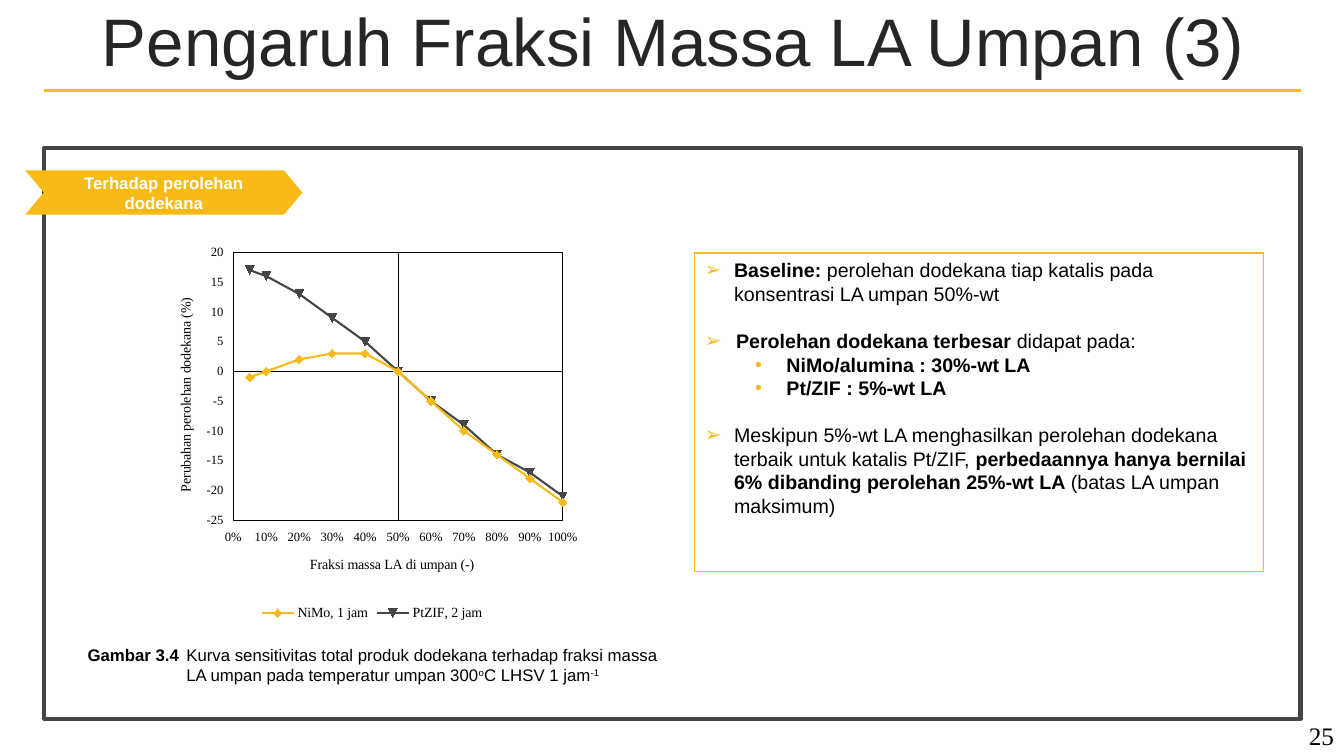
"""Build the slide on how the LA feed mass fraction affects dodecane yield."""
from dataclasses import dataclass

from lxml import etree
from pptx import Presentation
from pptx.chart.axis import _BaseAxis
from pptx.chart.data import XyChartData
from pptx.dml.color import RGBColor
from pptx.enum.chart import XL_CHART_TYPE, XL_LEGEND_POSITION, XL_TICK_LABEL_POSITION, XL_TICK_MARK
from pptx.enum.shapes import MSO_CONNECTOR, MSO_SHAPE
from pptx.enum.text import MSO_ANCHOR, MSO_AUTO_SIZE, PP_ALIGN
from pptx.oxml import parse_xml
from pptx.oxml.ns import nsdecls, qn
from pptx.shapes.autoshape import Shape
from pptx.slide import Slide
from pptx.text.text import Font, TextFrame
from pptx.util import Inches, Pt

SCATTER = XL_CHART_TYPE.XY_SCATTER_LINES
LEGEND_BOTTOM = XL_LEGEND_POSITION.BOTTOM
LABELS_LOW = XL_TICK_LABEL_POSITION.LOW
NO_TICK = XL_TICK_MARK.NONE
CENTER, LEFT, RIGHT = PP_ALIGN.CENTER, PP_ALIGN.LEFT, PP_ALIGN.RIGHT
TOP, MIDDLE = MSO_ANCHOR.TOP, MSO_ANCHOR.MIDDLE


@dataclass(frozen=True)
class Theme:
    gold: str = "F8BA16"
    gray: str = "454545"
    title_color: str = "262626"
    black: str = "000000"
    white: str = "FFFFFF"
    sans: str = "Arial"
    serif: str = "Times New Roman"
    title_size: float = 48
    number_size: float = 18
    body_size: float = 14
    caption_size: float = 12
    chart_size: float = 10
    axis_size: float = 9


@dataclass(frozen=True)
class Box:
    left: float
    top: float
    width: float
    height: float

    def lengths(self) -> tuple[int, int, int, int]:
        return Inches(self.left), Inches(self.top), Inches(self.width), Inches(self.height)


@dataclass(frozen=True)
class TextRun:
    text: str
    bold: bool = False
    raised: bool = False


@dataclass(frozen=True)
class Line:
    runs: tuple[TextRun, ...]
    margin: float = 0
    hanging: float = 0
    bullet: str = ""
    level: int = 0
    space_before: float = 0


@dataclass(frozen=True)
class Curve:
    name: str
    values: tuple[int, ...]
    color: str
    order: int


THEME = Theme()
FRACTIONS = (0.05, *(step / 10 for step in range(1, 11)))
CURVES = (
    Curve("NiMo, 1 jam", (-1, 0, 2, 3, 3, 0, -5, -10, -14, -18, -22), THEME.gold, 1),
    Curve("PtZIF, 2 jam", (17, 16, 13, 9, 5, 0, -5, -9, -14, -17, -21), THEME.gray, 2),
)
GAP = 17
FINDINGS = (
    Line((TextRun("Baseline: ", True),
          TextRun("perolehan dodekana tiap katalis pada konsentrasi LA umpan 50%-wt")),
         0.29, 0.29, "➢"),
    Line((TextRun("Perolehan dodekana terbesar ", True), TextRun("didapat pada:")),
         0.31, 0.31, "➢", space_before=GAP),
    Line((TextRun("NiMo/alumina : 30%-wt LA", True),), 0.81, 0.31, "•", 1),
    Line((TextRun("Pt/ZIF : 5%-wt LA", True),), 0.81, 0.31, "•", 1),
    Line((TextRun("Meskipun 5%-wt LA menghasilkan perolehan dodekana terbaik untuk katalis Pt/ZIF, "),
          TextRun("perbedaannya hanya bernilai 6% dibanding perolehan 25%-wt LA ", True),
          TextRun("(batas LA umpan maksimum)")), 0.29, 0.29, "➢", space_before=GAP),
)
CAPTION = Line((
    TextRun("Gambar 3.4\t", True),
    TextRun("Kurva sensitivitas total produk dodekana terhadap fraksi massa LA umpan "
            "pada temperatur umpan 300"),
    TextRun("o", raised=True), TextRun("C LHSV 1 jam"), TextRun("-1", raised=True),
), 0.98, 0.98)


def rgb(color: str) -> RGBColor:
    return RGBColor.from_string(color)


def style_font(font: Font, size: float, color: str, name: str, bold: bool = False) -> None:
    font.size, font.name, font.bold = Pt(size), name, bold
    font.color.rgb = rgb(color)


def write_lines(frame: TextFrame, lines: tuple[Line, ...], size: float, color: str = THEME.black,
                name: str = THEME.sans, align: PP_ALIGN = LEFT, anchor: MSO_ANCHOR = TOP,
                spacing: float = 1.0) -> None:
    frame.word_wrap = True
    frame.auto_size = MSO_AUTO_SIZE.NONE
    frame.vertical_anchor = anchor
    for index, line in enumerate(lines):
        paragraph = frame.add_paragraph() if index else frame.paragraphs[0]
        paragraph.alignment, paragraph.level = align, line.level
        paragraph.line_spacing = spacing
        paragraph.space_before, paragraph.space_after = Pt(line.space_before), Pt(0)
        properties = paragraph._p.get_or_add_pPr()
        properties.set("marL", str(Inches(line.margin)))
        properties.set("indent", str(-Inches(line.hanging)))
        if line.bullet:
            bullet_color = etree.SubElement(properties, qn("a:buClr"))
            etree.SubElement(bullet_color, qn("a:srgbClr"), val=THEME.gold)
            etree.SubElement(properties, qn("a:buFont"), typeface=THEME.sans)
            etree.SubElement(properties, qn("a:buChar"), char=line.bullet)
        for part in line.runs:
            run = paragraph.add_run()
            run.text = part.text
            style_font(run.font, size, color, name, part.bold)
            if part.raised:
                run._r.get_or_add_rPr().set("baseline", "30000")


def place(shape: Shape, box: Box) -> None:
    shape.left, shape.top, shape.width, shape.height = box.lengths()


def add_text(slide: Slide, box: Box, line: Line, size: float, name: str = THEME.sans,
             align: PP_ALIGN = LEFT) -> None:
    frame = slide.shapes.add_textbox(*box.lengths()).text_frame
    write_lines(frame, (line,), size, name=name, align=align)


def style_axis(axis: _BaseAxis, title: str, limits: tuple[float, float], step: float,
               crossing: float, number_format: str) -> None:
    axis.minimum_scale, axis.maximum_scale = limits
    axis.major_unit, axis.crosses_at = step, crossing
    axis.has_major_gridlines = axis.has_minor_gridlines = False
    axis.major_tick_mark = axis.minor_tick_mark = NO_TICK
    axis.tick_label_position = LABELS_LOW
    axis.tick_labels.number_format = number_format
    axis.tick_labels.number_format_is_linked = False
    style_font(axis.tick_labels.font, THEME.axis_size, THEME.black, THEME.serif)
    axis.format.line.color.rgb, axis.format.line.width = rgb(THEME.black), Pt(0.75)
    run = axis.axis_title.text_frame.paragraphs[0].add_run()
    run.text = title
    style_font(run.font, THEME.chart_size, THEME.black, THEME.serif)


def add_yield_chart(slide: Slide, box: Box) -> None:
    data = XyChartData()
    for curve in CURVES:
        points = data.add_series(curve.name)
        for fraction, value in zip(FRACTIONS, curve.values):
            points.add_data_point(fraction, value)
    chart = slide.shapes.add_chart(SCATTER, *box.lengths(), data).chart
    chart.has_title = False
    style_font(chart.font, THEME.chart_size, THEME.black, THEME.serif)
    chart.has_legend = True
    chart.legend.position, chart.legend.include_in_layout = LEGEND_BOTTOM, False
    style_font(chart.legend.font, THEME.chart_size, THEME.black, THEME.serif)
    style_axis(chart.category_axis, "Fraksi massa LA di umpan (-)", (0, 1), 0.1, 0.5, "0%")
    style_axis(chart.value_axis, "Perubahan perolehan dodekana (%)", (-25, 20), 5, 0, "#,##0")
    chart.value_axis.axis_title.text_frame._txBody.bodyPr.set("rot", "-5400000")
    chart.plots[0].vary_by_categories = False
    for series, curve in zip(chart.plots[0].series, CURVES):
        series._element.find(qn("c:idx")).set("val", str(curve.order))
        series.smooth = False
        series.format.line.color.rgb, series.format.line.width = rgb(curve.color), Pt(1.5)
        series.marker.size = 6
        series.marker.format.fill.solid()
        series.marker.format.fill.fore_color.rgb = rgb(curve.color)
        series.marker.format.line.color.rgb = rgb(curve.color)
    plot_area = chart._chartSpace.chart.plotArea
    for layout in plot_area.findall(qn("c:layout")):
        plot_area.remove(layout)
    sizes = "".join(f'<c:{key} val="{value}"/>' for key, value in
                    (("x", 0.18), ("y", 0.04), ("w", 0.76), ("h", 0.69)))
    plot_area.insert(0, parse_xml(
        f'<c:layout {nsdecls("c")}><c:manualLayout><c:layoutTarget val="inner"/>'
        f'<c:xMode val="edge"/><c:yMode val="edge"/>{sizes}</c:manualLayout></c:layout>'))
    plot_area.append(parse_xml(
        f'<c:spPr {nsdecls("c", "a")}><a:noFill/><a:ln w="{Pt(0.75)}"><a:solidFill>'
        f'<a:srgbClr val="{THEME.black}"/></a:solidFill></a:ln></c:spPr>'))


def main() -> None:
    presentation = Presentation()
    presentation.slide_width, presentation.slide_height = Inches(13.33), Inches(7.5)
    slide = presentation.slides.add_slide(presentation.slide_layouts[1])
    title, body = slide.shapes.title, slide.placeholders[1]
    place(title, Box(0.35, 0.05, 12.66, 0.79))
    write_lines(title.text_frame, (Line((TextRun("Pengaruh Fraksi Massa LA Umpan (3)"),)),),
                THEME.title_size, THEME.title_color, align=CENTER, anchor=MIDDLE, spacing=0.9)
    place(body, Box(6.89, 2.51, 5.64, 3.16))
    body.line.color.rgb, body.line.width = rgb(THEME.gold), Pt(0.75)
    write_lines(body.text_frame, FINDINGS, THEME.body_size)

    frame = slide.shapes.add_shape(MSO_SHAPE.RECTANGLE, *Box(0.44, 1.47, 12.46, 5.66).lengths())
    frame.shadow.inherit = False
    frame.fill.background()
    frame.line.color.rgb, frame.line.width = rgb(THEME.gray), Pt(3)
    banner = slide.shapes.add_shape(MSO_SHAPE.CHEVRON, *Box(0.25, 1.69, 2.75, 0.44).lengths())
    banner.adjustments[0] = 0.42
    banner.shadow.inherit = False
    banner.fill.solid()
    banner.fill.fore_color.rgb = rgb(THEME.gold)
    banner.line.fill.background()
    write_lines(banner.text_frame, (Line((TextRun("Terhadap perolehan dodekana", True),)),),
                THEME.caption_size, THEME.white, align=CENTER, anchor=MIDDLE)
    rule = slide.shapes.add_connector(MSO_CONNECTOR.STRAIGHT, Inches(0.44), Inches(0.9),
                                      Inches(12.9), Inches(0.9))
    rule.line.color.rgb, rule.line.width = rgb(THEME.gold), Pt(2.25)
    etree.SubElement(rule._element.spPr, qn("a:effectLst"))

    add_yield_chart(slide, Box(1.54, 2.35, 4.3, 3.85))
    add_text(slide, Box(0.77, 6.35, 5.86, 0.5), CAPTION, THEME.caption_size)
    add_text(slide, Box(12.62, 7.1, 0.71, 0.4), Line((TextRun("25"),)), THEME.number_size,
             THEME.serif, RIGHT)
    presentation.save("out.pptx")


if __name__ == "__main__":
    main()
